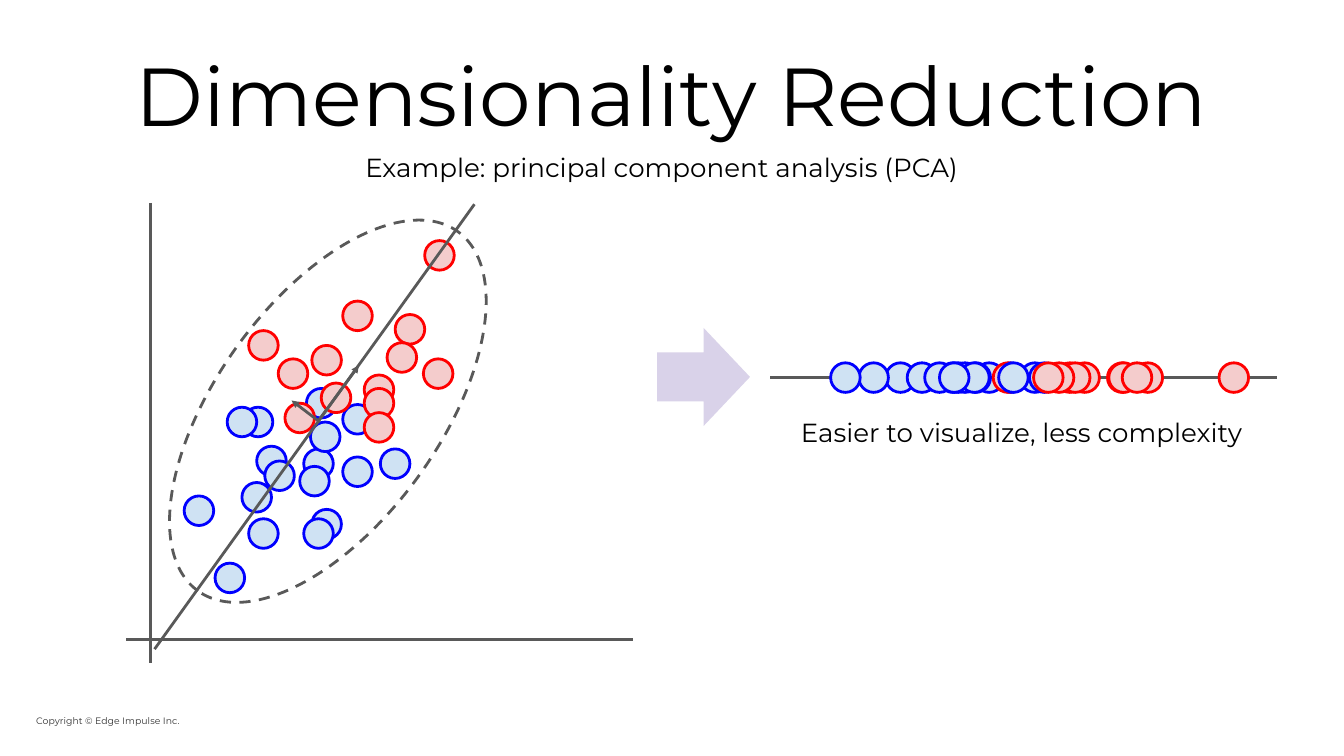
"""Build a slide that explains dimensionality reduction with a PCA example."""
from typing import NamedTuple

import lxml.etree
import pptx
import pptx.dml.color
import pptx.enum.dml
import pptx.enum.shapes
import pptx.enum.text
import pptx.oxml.ns
import pptx.util

Inches = pptx.util.Inches
Pt = pptx.util.Pt
RGBColor = pptx.dml.color.RGBColor
SHAPE = pptx.enum.shapes.MSO_SHAPE
ANCHOR = pptx.enum.text.MSO_ANCHOR
ALIGN = pptx.enum.text.PP_ALIGN
qn = pptx.oxml.ns.qn

BLACK = RGBColor(0x00, 0x00, 0x00)
DARK = RGBColor(0x33, 0x33, 0x33)
GRAY = RGBColor(0x59, 0x59, 0x59)
LILAC = RGBColor(0xD9, 0xD2, 0xE9)
RED = RGBColor(0xFF, 0x00, 0x00)
PINK = RGBColor(0xF4, 0xCC, 0xCC)
BLUE = RGBColor(0x00, 0x00, 0xFF)
PALE_BLUE = RGBColor(0xCF, 0xE2, 0xF3)

FONT = "Montserrat"
SLIDE_WIDTH = Inches(10)
SLIDE_HEIGHT = SLIDE_WIDTH * 9 // 16
LINE_WIDTH = 1.5
DOT_SIZE = 0.22
PROJECTION_TOP = 2.7


class Style(NamedTuple):
    fill: RGBColor | None
    line: RGBColor | None


class Dot(NamedTuple):
    group: str
    x: float
    y: float


class Line(NamedTuple):
    x1: float
    y1: float
    x2: float
    y2: float
    arrow: bool = False


class Label(NamedTuple):
    text: str
    box: tuple[float, float, float, float]
    size: float
    color: RGBColor
    insets: tuple[float, float, float, float]


GROUPS = {"R": Style(PINK, RED), "B": Style(PALE_BLUE, BLUE)}

SCATTER = [Dot(*d) for d in (
    ("R", 1.85, 2.46), ("R", 2.32, 2.57), ("R", 2.07, 2.67), ("B", 1.91, 3.32),
    ("B", 2.28, 2.89), ("R", 2.71, 2.79), ("B", 2.26, 3.34), ("R", 2.55, 2.24),
    ("B", 2.55, 3.01), ("B", 2.32, 3.79), ("R", 2.71, 2.89), ("B", 1.81, 3.03),
    ("B", 1.85, 3.86), ("R", 2.94, 2.34), ("B", 1.8, 3.59), ("B", 1.37, 3.69),
    ("R", 3.16, 1.79), ("B", 1.69, 3.03), ("R", 2.88, 2.55), ("B", 2.23, 3.47),
    ("R", 3.15, 2.67), ("B", 1.6, 4.19), ("B", 2.26, 3.86), ("B", 2.83, 3.34),
    ("B", 2.55, 3.4), ("R", 2.12, 3.0), ("B", 2.31, 3.14), ("R", 2.71, 3.07),
    ("R", 2.39, 2.85), ("B", 1.97, 3.43),
)]
PROJECTION = [Dot(group, x, PROJECTION_TOP) for group, x in (
    ("R", 7.85), ("B", 7.02), ("B", 7.59), ("R", 7.96), ("B", 7.25), ("R", 8.24),
    ("B", 6.98), ("R", 7.89), ("B", 7.15), ("B", 6.59), ("R", 8.43), ("B", 6.75),
    ("B", 6.39), ("R", 9.07), ("B", 7.07), ("R", 8.25), ("B", 7.14), ("R", 8.35),
    ("B", 6.18), ("B", 6.88), ("B", 7.66), ("B", 7.41), ("R", 7.39), ("B", 7.43),
    ("R", 7.77), ("R", 7.69), ("B", 6.99),
)]
AXES = [Line(1.12, 1.51, 1.12, 4.93), Line(0.94, 4.76, 4.71, 4.76)]
PROJECTION_AXIS = Line(5.73, 2.81, 9.5, 2.81)
COMPONENTS = [
    Line(1.15, 4.83, 3.53, 1.52),
    Line(2.37, 3.13, 2.67, 2.72, True),
    Line(2.38, 3.14, 2.17, 2.98, True),
]
COPYRIGHT = Label("Copyright © Edge Impulse Inc.", (0.27, 5.31, 1.37, 0.09), 5, DARK,
                  (0, 0.01, 0, 0))
CAPTIONS = [
    Label("Example: principal component analysis (PCA)", (2.62, 1.03, 4.77, 0.44),
          14, BLACK, (0.1,) * 4),
    Label("Easier to visualize, less complexity", (5.86, 3, 3.68, 0.44),
          14, BLACK, (0.1,) * 4),
]


def set_attrs(obj: object, values: dict) -> None:
    for name, value in values.items():
        setattr(obj, name, value)


def write_text(sp, text: str, size: float, color: RGBColor, insets: tuple, **frame) -> None:
    tf = sp.text_frame
    sides = ("margin_left", "margin_top", "margin_right", "margin_bottom")
    set_attrs(tf, {"word_wrap": True, **frame, **dict(zip(sides, map(Inches, insets)))})
    r = tf.paragraphs[0].add_run()
    r.text = text
    set_attrs(r.font, {"name": FONT, "size": Pt(size), "bold": False})
    r.font.color.rgb = color


def add_label(s, label: Label) -> None:
    sp = s.shapes.add_textbox(*map(Inches, label.box))
    write_text(sp, label.text, label.size, label.color, label.insets)


def add_shape(s, kind, box: tuple, style: Style, rotation: float = 0):
    sp = s.shapes.add_shape(kind, *map(Inches, box))
    sp.shadow.inherit = False
    sp.rotation = rotation
    if style.fill is None:
        sp.fill.background()
    else:
        sp.fill.solid()
        sp.fill.fore_color.rgb = style.fill
    if style.line is None:
        sp.line.fill.background()
    else:
        sp.line.color.rgb = style.line
        sp.line.width = Pt(LINE_WIDTH)
    return sp


def add_dots(s, dots: list[Dot], rotation: float = 0) -> None:
    for dot in dots:
        box = (dot.x, dot.y, DOT_SIZE, DOT_SIZE)
        add_shape(s, SHAPE.OVAL, box, GROUPS[dot.group], rotation)


def add_line(s, line: Line) -> None:
    ends = map(Inches, (line.x1, line.y1, line.x2, line.y2))
    cx = s.shapes.add_connector(pptx.enum.shapes.MSO_CONNECTOR.STRAIGHT, *ends)
    cx.line.color.rgb = GRAY
    cx.line.width = Pt(LINE_WIDTH)
    spPr = cx._element.spPr
    if line.arrow:
        head = {"type": "triangle", "w": "sm", "len": "sm"}
        lxml.etree.SubElement(spPr.find(qn("a:ln")), qn("a:tailEnd"), head)
    lxml.etree.SubElement(spPr, qn("a:effectLst"))


def main() -> None:
    prs = pptx.Presentation()
    set_attrs(prs, {"slide_width": SLIDE_WIDTH, "slide_height": SLIDE_HEIGHT})
    s = prs.slides.add_slide(prs.slide_layouts[5])

    title = s.shapes.title
    box = dict(zip(("left", "top", "width", "height"), map(Inches, (0.5, 0.23, 9, 0.94))))
    set_attrs(title, box)
    write_text(title, "Dimensionality Reduction", 44, BLACK, (0.1, 0.05, 0.1, 0.05),
               vertical_anchor=ANCHOR.MIDDLE, auto_size=pptx.enum.text.MSO_AUTO_SIZE.NONE)
    title.text_frame.paragraphs[0].alignment = ALIGN.CENTER
    add_label(s, COPYRIGHT)

    for axis in AXES:
        add_line(s, axis)
    add_dots(s, SCATTER)
    add_line(s, PROJECTION_AXIS)
    add_dots(s, PROJECTION, 45)

    spread = add_shape(s, SHAPE.OVAL, (0.79, 2.23, 3.3, 1.66), Style(None, GRAY), 305.9)
    spread.line.dash_style = pptx.enum.dml.MSO_LINE.DASH
    for component in COMPONENTS:
        add_line(s, component)
    add_shape(s, SHAPE.RIGHT_ARROW, (4.89, 2.44, 0.69, 0.73), Style(LILAC, None))
    for caption in CAPTIONS:
        add_label(s, caption)
    prs.save("out.pptx")


if __name__ == "__main__":
    main()
